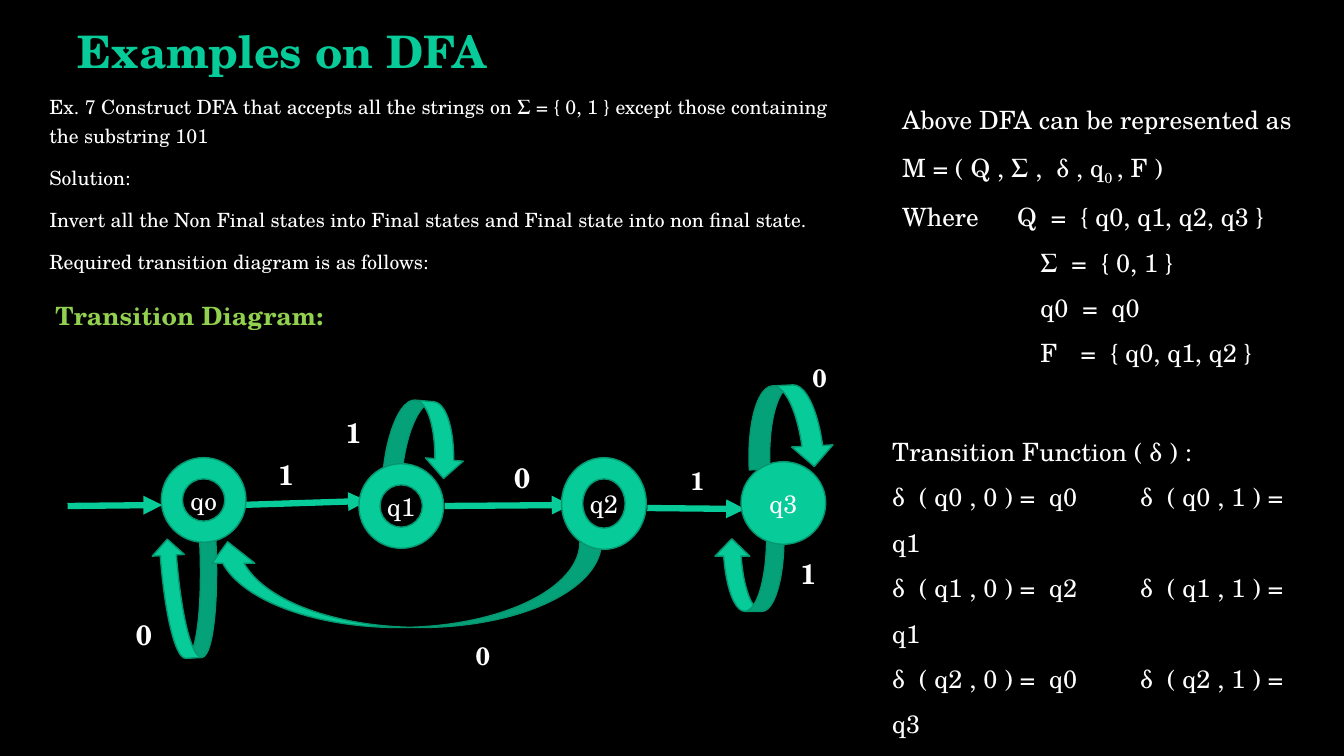
from lxml.etree import SubElement
from pptx import Presentation
from pptx.dml.color import RGBColor
from pptx.enum.shapes import MSO_CONNECTOR, MSO_SHAPE
from pptx.enum.text import MSO_ANCHOR, PP_ALIGN
from pptx.oxml.ns import qn
from pptx.util import Inches, Pt

FACE = "TeX Gyre Schola"
HUES = {"back": "000000", "mint": "07CB98", "edge": "059670",
        "text": "FFFFFF", "head": "92D050"}

TASK = [
    "Ex. 7 Construct DFA that accepts all the strings on Σ = { 0, 1 } "
    "except those containing the substring 101",
    "Solution:",
    "Invert all the Non Final states into Final states and Final state "
    "into non final state.",
    "Required transition diagram is as follows:",
]
TUPLE = [
    (["Above DFA can be represented as"], []),
    (["M = ( Q , Σ ,  δ , q", "_0 ", ", F )"], []),
    (["Where\tQ  =  { q0, q1, q2, q3 }"], [1.14]),
    (["\tΣ  =  { 0, 1 }"], [1.37]),
    (["\tq0  =  q0"], [1.37]),
    (["\tF\t=  { q0, q1, q2 }"], [1.37, 1.77]),
]
MOVES = [("q0", "q0", "q1"), ("q1", "q2", "q1"), ("q2", "q0", "q3")]

STATES = [
    ("qo", 1.6, 4.54, 0.84, MSO_SHAPE.DONUT),
    ("q1", 3.56, 4.6, 0.84, MSO_SHAPE.DONUT),
    ("q2", 5.57, 4.54, 0.91, MSO_SHAPE.DONUT),
    ("q3", 7.35, 4.58, 0.82, MSO_SHAPE.OVAL),
]
EDGES = [
    (0.67, 5.02, 1.61, 5.01), (2.38, 5.01, 3.64, 4.97),
    (4.41, 5.02, 5.66, 5.01), (6.42, 5.04, 7.39, 5.05),
]
LOOPS = [
    (MSO_SHAPE.CURVED_DOWN_ARROW, (7.41, 3.82, 0.85, 0.82), 357),
    (MSO_SHAPE.CURVED_DOWN_ARROW, (3.83, 3.98, 0.79, 0.75), 5),
    (MSO_SHAPE.CURVED_DOWN_ARROW, (1.53, 5.34, 0.64, 1.19), 177),
    (MSO_SHAPE.CURVED_LEFT_ARROW, (7.07, 5.36, 0.72, 0.69), 90),
    (MSO_SHAPE.CURVED_LEFT_ARROW, (3.58, 3.84, 0.85, 3.92), 90),
]
MARKS = [
    ("0", 1.25, 6.08, 20), ("1", 3.33, 4.07, 20), ("0", 5, 4.52, 20),
    ("1", 7.84, 5.47, 20), ("1", 2.66, 4.49, 20), ("0", 4.62, 6.3, 18),
    ("1", 6.75, 4.57, 18), ("0", 7.96, 3.54, 18),
]


def tint(name):
    return RGBColor.from_string(HUES[name])


def add_run(para, text, size=18, hue="text", bold=False):
    run = para.add_run()
    run.text = text.removeprefix("_")
    font = run.font
    font.name, font.size, font.bold = FACE, Pt(size), bold
    font.color.rgb = tint(hue)
    if text.startswith("_"):
        run._r.get_or_add_rPr().set("baseline", "-25000")


def add_tabs(para, stops):
    if stops:
        tabs = SubElement(para._p.get_or_add_pPr(), qn("a:tabLst"))
        for stop in stops:
            SubElement(tabs, qn("a:tab"), pos=str(Inches(stop)), algn="l")


def add_box(slide, area, rows, size=18, hue="text", bold=False, pitch=1.0, gap=0):
    box = slide.shapes.add_textbox(*map(Inches, area))
    frame = box.text_frame
    frame.word_wrap = True
    for num, (parts, stops) in enumerate(rows):
        para = frame.add_paragraph() if num else frame.paragraphs[0]
        add_tabs(para, stops)
        para.line_spacing = pitch
        if num and gap:
            para.space_before = Pt(gap)
        for part in parts:
            add_run(para, part, size, hue, bold)


def add_form(slide, kind, area, turn=0):
    form = slide.shapes.add_shape(kind, *map(Inches, area))
    form.rotation = turn
    form.shadow.inherit = False
    form.fill.solid()
    form.fill.fore_color.rgb = tint("mint")
    form.line.color.rgb = tint("edge")
    form.line.width = Pt(1)
    return form


def add_state(slide, name, left, top, high, kind):
    frame = add_form(slide, kind, (left, top, 0.84, high)).text_frame
    frame.vertical_anchor = MSO_ANCHOR.MIDDLE
    para = frame.paragraphs[0]
    para.alignment = PP_ALIGN.CENTER
    add_run(para, name)


def add_edge(slide, ends):
    edge = slide.shapes.add_connector(MSO_CONNECTOR.STRAIGHT, *map(Inches, ends))
    edge.line.color.rgb = tint("mint")
    edge.line.width = Pt(4.5)
    SubElement(edge.line._get_or_add_ln(), qn("a:tailEnd"), type="triangle")
    SubElement(edge._element.spPr, qn("a:effectLst"))


def set_title(slide, text):
    title = slide.shapes.title
    title.left, title.top = Inches(0.67), Inches(0.16)
    title.width, title.height = Inches(10.57), Inches(0.67)
    title.text_frame.vertical_anchor = MSO_ANCHOR.BOTTOM
    para = title.text_frame.paragraphs[0]
    para.alignment = PP_ALIGN.LEFT
    para.line_spacing = 0.9
    add_run(para, text, 32, "mint", True)


def main():
    deck = Presentation()
    deck.slide_width, deck.slide_height = Inches(13.33), Inches(7.5)
    slide = deck.slides.add_slide(deck.slide_layouts[5])
    slide.background.fill.solid()
    slide.background.fill.fore_color.rgb = tint("back")

    set_title(slide, "Examples on DFA")
    add_box(slide, (0.39, 0.85, 8.21, 1.96), [([line], []) for line in TASK],
            size=14, pitch=1.2, gap=10)
    add_box(slide, (0.45, 2.93, 3, 0.4), [(["Transition Diagram:"], [])],
            hue="head", bold=True)

    for ends in EDGES:
        add_edge(slide, ends)
    for kind, area, turn in LOOPS:
        add_form(slide, kind, area, turn)
    for state in STATES:
        add_state(slide, *state)
    for text, left, top, size in MARKS:
        add_box(slide, (left, top, 0.39, 0.42), [([text], [])], size, bold=True)

    add_box(slide, (8.85, 0.84, 4.43, 2.77), TUPLE, pitch=1.5)
    rules = [(["Transition Function ( δ ) :"], [])]
    for state, zero, one in MOVES:
        rule = f"δ  ( {state} , 0 ) =  {zero}\tδ  ( {state} , 1 ) =  {one}"
        rules.append(([rule], [2.46]))
    add_box(slide, (8.75, 4.13, 4.43, 2.68), rules, pitch=1.5)
    deck.save("out.pptx")


if __name__ == "__main__":
    main()
